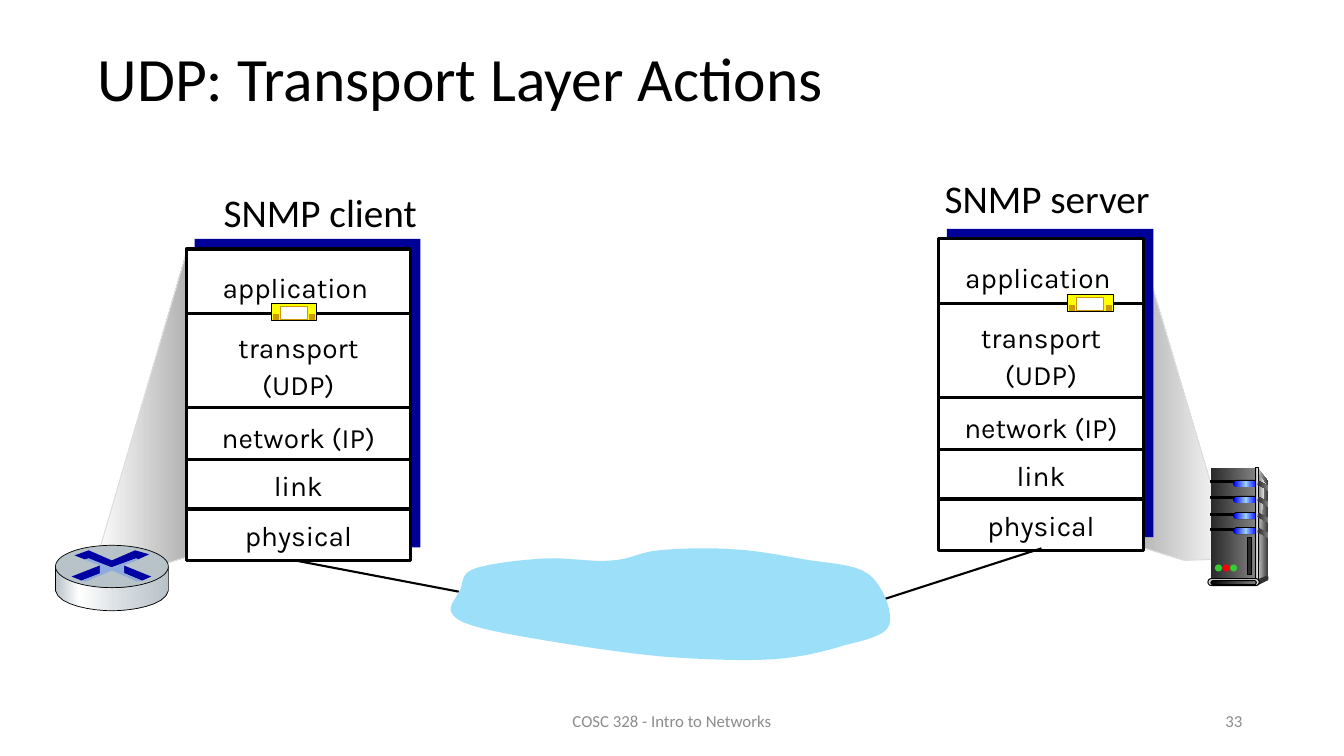
from lxml import etree
from pptx import Presentation
from pptx.dml.color import RGBColor
from pptx.enum.shapes import MSO_CONNECTOR, MSO_SHAPE
from pptx.enum.text import MSO_ANCHOR, MSO_AUTO_SIZE, PP_ALIGN
from pptx.oxml.ns import qn
from pptx.util import Inches, Pt

RECT, ROUND, OVAL = MSO_SHAPE.RECTANGLE, MSO_SHAPE.ROUNDED_RECTANGLE, MSO_SHAPE.OVAL
STRAIGHT = MSO_CONNECTOR.STRAIGHT
LEFT, CENTER, RIGHT = PP_ALIGN.LEFT, PP_ALIGN.CENTER, PP_ALIGN.RIGHT
TOP, MIDDLE = MSO_ANCHOR.TOP, MSO_ANCHOR.MIDDLE
WIDE, HIGH = 13.33, 7.5

HUE = {
    "black": "000000", "white": "FFFFFF", "navy": "000099", "sky": "9CDFF9",
    "gray": "8C8C8C", "pale": "DDDDDD", "smoke": "B2B2B2", "dark": "333333",
    "coal": "292929", "mid": "808080", "frost": "F8F8F8", "blue": "0000FF",
    "ice": "99CCFF", "green": "33CC33", "red": "FF0000", "yellow": "FFFF00",
    "gold": "CC9900", "steel": "B8C2C9", "mist": "D6DCE0", "cross": "0000A3",
    "haze": "8FAADC",
}
VENT = [(0, "coal"), (100, "mid")]
GLOW = [(0, "blue"), (50, "ice"), (100, "blue")]
BODY = {"name": "Karla", "size": Pt(20)}
LABEL = {"name": "Calibri", "size": Pt(28)}
HEAD = {"name": "Calibri", "size": Pt(44)}
FOOT = {"name": "Calibri", "size": Pt(12)}

LAYERS = [("application", 0.13, -0.03), ("transport\n(UDP)", 0.73, 0),
          ("network (IP)", 1.62, 0), ("link", 2.1, 0), ("physical", 2.59, 0)]
RULES = [0.64, 1.57, 2.09, 2.58]

CLOUD = [
    (2.09, 0.03), (1.89, 0.05, 1.82, 0.12, 1.63, 0.13),
    (1.44, 0.15, 1.2, 0.1, 0.98, 0.11), (0.75, 0.12, 0.41, 0.16, 0.27, 0.21),
    (0.12, 0.26, 0.16, 0.36, 0.12, 0.43), (0.08, 0.51, 0, 0.59, 0.04, 0.65),
    (0.07, 0.71, 0.14, 0.75, 0.33, 0.8), (0.52, 0.85, 0.88, 0.91, 1.19, 0.96),
    (1.5, 1.01, 1.86, 1.06, 2.2, 1.09), (2.54, 1.11, 2.93, 1.13, 3.23, 1.11),
    (3.52, 1.09, 3.75, 1.03, 3.94, 0.97), (4.14, 0.92, 4.34, 0.88, 4.38, 0.77),
    (4.42, 0.65, 4.32, 0.38, 4.18, 0.27), (4.04, 0.16, 3.76, 0.16, 3.54, 0.12),
    (3.31, 0.08, 3.07, 0.03, 2.83, 0.02), (2.59, 0, 2.29, 0.01, 2.09, 0.03),
]


def rgb(name):
    return RGBColor.from_string(HUE[name])


def paint(shape, fill, line=None, width=0.75):
    """Fill with a colour name, or with a list of (percent, name) stops."""
    shape.shadow.inherit = False
    if isinstance(fill, str):
        shape.fill.solid()
        shape.fill.fore_color.rgb = rgb(fill)
    else:
        shape.fill.gradient()
        shape.fill.gradient_angle = 0
        stops = shape.element.spPr.find(qn("a:gradFill")).find(qn("a:gsLst"))
        for old in list(stops):
            stops.remove(old)
        for share, name in fill:
            stop = etree.SubElement(stops, qn("a:gs"), pos=str(share * 1000))
            etree.SubElement(stop, qn("a:srgbClr"), val=HUE[name])
    if line:
        shape.line.color.rgb = rgb(line)
        shape.line.width = Pt(width)
    else:
        shape.line.fill.background()


def block(page, kind, box, *look):
    shape = page.add_shape(kind, *map(Inches, box))
    if kind == ROUND:
        shape.adjustments[0] = 0.5
    paint(shape, *look)


def trace(page, x, y, steps, *look):
    """Draw a closed outline; a step is a point or the six numbers of a curve."""
    points = [steps[0]]
    for step in steps[1:]:
        if len(step) == 2:
            points.append(step)
            continue
        ends = (points[-1], step[:2], step[2:4], step[4:])
        for t in (n / 8 for n in range(1, 9)):
            parts = ((1 - t) ** 3, 3 * t * (1 - t) ** 2, 3 * t * t * (1 - t), t ** 3)
            points.append(tuple(sum(p * e[axis] for p, e in zip(parts, ends))
                                for axis in (0, 1)))
    spots = [(Inches(x + a), Inches(y + b)) for a, b in points]
    path = page.build_freeform(*spots[0], scale=1.0)
    path.add_line_segments(spots[1:], close=True)
    paint(path.convert_to_shape(), *look)


def rule(page, start, end, width):
    line = page.add_connector(STRAIGHT, *map(Inches, start + end))
    line.line.color.rgb = rgb("black")
    line.line.width = Pt(width)
    etree.SubElement(line.element.spPr, qn("a:effectLst"))


def write(frame, text, style, align=LEFT, anchor=TOP, color="black", gap=1.0, wrap=True):
    frame.word_wrap = wrap
    frame.auto_size = MSO_AUTO_SIZE.NONE
    frame.vertical_anchor = anchor
    frame.text = text
    for para in frame.paragraphs:
        para.alignment = align
        para.line_spacing = gap
        para.font.color.rgb = rgb(color)
        for key, value in style.items():
            setattr(para.font, key, value)


def label(page, box, text, style, **form):
    write(page.add_textbox(*map(Inches, box)).text_frame, text, style, **form)


def stack(page, x, y, wide):
    block(page, RECT, (x + 0.08, y - 0.1, wide + 0.02, 3.06), "navy")
    block(page, RECT, (x, y, wide, 3.09), "white", "black", 2.25)
    for drop in RULES:
        rule(page, (x + 0.01, y + drop), (x + wide, y + drop), 2.25)
    for text, drop, shift in LAYERS:
        tall = 0.44 + 0.37 * text.count("\n")
        label(page, (x + 0.11 + shift, y + drop, wide - 0.22, tall),
              text, BODY, align=CENTER, gap=1.1)


def packet(page, x, y):
    block(page, RECT, (x, y, 0.45, 0.17), "yellow", "black")
    block(page, RECT, (x + 0.09, y + 0.03, 0.27, 0.13), "white", "gold")
    for shift in (0.02, 0.38):
        block(page, RECT, (x + shift, y + 0.11, 0.05, 0.05), "gold", "gold")


def server(page, x, y):
    trace(page, x, y, [(0.5, 0.01), (0.6, 0.14), (0.59, 1.07), (0.48, 1.12)],
          [(0, "pale"), (100, "dark")])
    block(page, RECT, (x + 0.03, y, 0.44, 1.12), VENT)
    trace(page, x, y, [(0.5, 0.07), (0.5, 0.07, 0.52, 0.08, 0.57, 0.16),
                       (0.5, 0.57, 0.51, 1.11, 0.5, 1.09)],
          [(0, "mid"), (100, "frost")])
    bays = [y + drop for drop in (0.13, 0.29, 0.45, 0.6)]
    for bay in bays:
        block(page, RECT, (x + 0.03, bay, 0.25, 0.02), "black", "black")
        block(page, ROUND, (x + 0.25, bay - 0.01, 0.25, 0.07), "black")
        block(page, ROUND, (x + 0.26, bay, 0.23, 0.06), GLOW)
    block(page, RECT, (x + 0.47, y, 0.03, 1.12),
          [(0, "dark"), (50, "pale"), (100, "dark")], "black")
    for bay in bays:
        trace(page, x, bay, [(0.5, 0), (0.51, 0, 0.55, 0.03, 0.6, 0.05),
                             (0.6, 0.1), (0.6, 0.1, 0.55, 0.06, 0.49, 0.04)], VENT)
    block(page, OVAL, (x + 0.58, y + 1.07, 0.02, 0.05), "dark")
    trace(page, x, y, [(0.49, 1.11), (0.49, 1.17), (0.59, 1.12), (0.59, 1.07)], "dark")
    block(page, ROUND, (x, y + 1.1, 0.51, 0.07), "pale", "black")
    block(page, ROUND, (x + 0.03, y + 1.12, 0.45, 0.04),
          [(0, "black"), (100, "mid")], "black")
    for n, lamp in enumerate(("green", "red", "green")):
        block(page, OVAL, (x + 0.07 + 0.075 * n, y + 0.96, 0.07, 0.07), lamp)
    block(page, RECT, (x + 0.39, y + 0.69, 0.04, 0.37), "coal", "black")


def router(page, x, y):
    trace(page, x, y, [(1.12, 0.22), (1.12, 0.45), (1.09, 0.6, 0.75, 0.65, 0.56, 0.65),
                       (0.38, 0.65, 0.03, 0.6, 0, 0.45), (0, 0.22),
                       (0.05, 0.35, 0.37, 0.42, 0.56, 0.42),
                       (0.74, 0.42, 1.07, 0.37, 1.12, 0.22)],
          [(0, "steel"), (21, "white"), (60, "mist"), (100, "steel")], "black", 0.5)
    block(page, OVAL, (x, y, 1.12, 0.42), "steel", "black", 0.5)
    trace(page, x, y, [(0.79, 0.05), (0.93, 0.09), (0.82, 0.14), (0.8, 0.13),
                       (0.55, 0.22), (0.33, 0.13), (0.29, 0.14), (0.19, 0.1),
                       (0.33, 0.05), (0.56, 0.15)], "cross")
    trace(page, x, y, [(0.68, 0.2), (0.95, 0.31), (0.86, 0.35), (0.67, 0.27)], "cross")
    trace(page, x, y, [(0.44, 0.2), (0.44, 0.28), (0.26, 0.35), (0.16, 0.31)], "cross")
    trace(page, x, y, [(0.29, 0.14), (0.33, 0.13), (0.56, 0.22), (0.8, 0.13),
                       (0.83, 0.14), (0.68, 0.2), (0.68, 0.28), (0.85, 0.35),
                       (0.81, 0.36), (0.56, 0.25), (0.3, 0.36), (0.26, 0.35),
                       (0.44, 0.28), (0.44, 0.2)], "haze")


def right(page, x, y):
    """Server side: beam, machine, label and protocol stack at x, y."""
    trace(page, x, y, [(2.92, 3.17), (1.98, 0), (1.95, 3.04), (2.44, 3.19)],
          [(0, "smoke"), (100, "white")], "pale")
    server(page, x + 2.67, y + 2.27)
    label(page, (x - 0.04, y - 0.69, 2.26, 0.57), "SNMP server", LABEL, wrap=False)
    stack(page, x, y, 2.03)
    packet(page, x + 1.28, y + 0.55)


def left(page, x, y):
    """Client side: beam, label, protocol stack and router at x, y."""
    trace(page, x, y, [(-0.92, 3.18), (0.01, 0), (-0.01, 3.06), (-0.44, 3.19)],
          [(0, "white"), (100, "smoke")], "pale")
    label(page, (x + 0.27, y - 0.65, 2.14, 0.57), "SNMP client", LABEL, wrap=False)
    stack(page, x, y, 2.22)
    router(page, x - 1.3, y + 2.94)
    packet(page, x + 0.84, y + 0.54)


def cloud(page, x, y):
    rule(page, (x + 5.89, y + 0.01), (x + 4.28, y + 0.53), 1.5)
    rule(page, (x - 1.62, y + 0.11), (x + 0.11, y + 0.44), 1.5)
    trace(page, x, y, CLOUD, "sky")


def footer(page, y):
    form = {"anchor": MIDDLE, "color": "gray"}
    label(page, ((WIDE - 4.5) / 2, y, 4.5, 0.4), "COSC 328 - Intro to Networks",
          FOOT, align=CENTER, **form)
    label(page, (9.42, y, 3, 0.4), "33", FOOT, align=RIGHT, **form)


def main():
    deck = Presentation()
    deck.slide_width, deck.slide_height = Inches(WIDE), Inches(HIGH)
    page = deck.slides.add_slide(deck.slide_layouts[5]).shapes
    title = page.title
    title.left, title.top, title.width, title.height = map(Inches, (0.87, 0.32, 12.14, 0.98))
    write(title.text_frame, "UDP: Transport Layer Actions", HEAD, anchor=MIDDLE, gap=0.9)
    right(page, 9.31, 2.37)
    cloud(page, 4.44, 5.43)
    left(page, 1.85, 2.47)
    footer(page, 6.95)
    deck.save("out.pptx")


if __name__ == "__main__":
    main()
